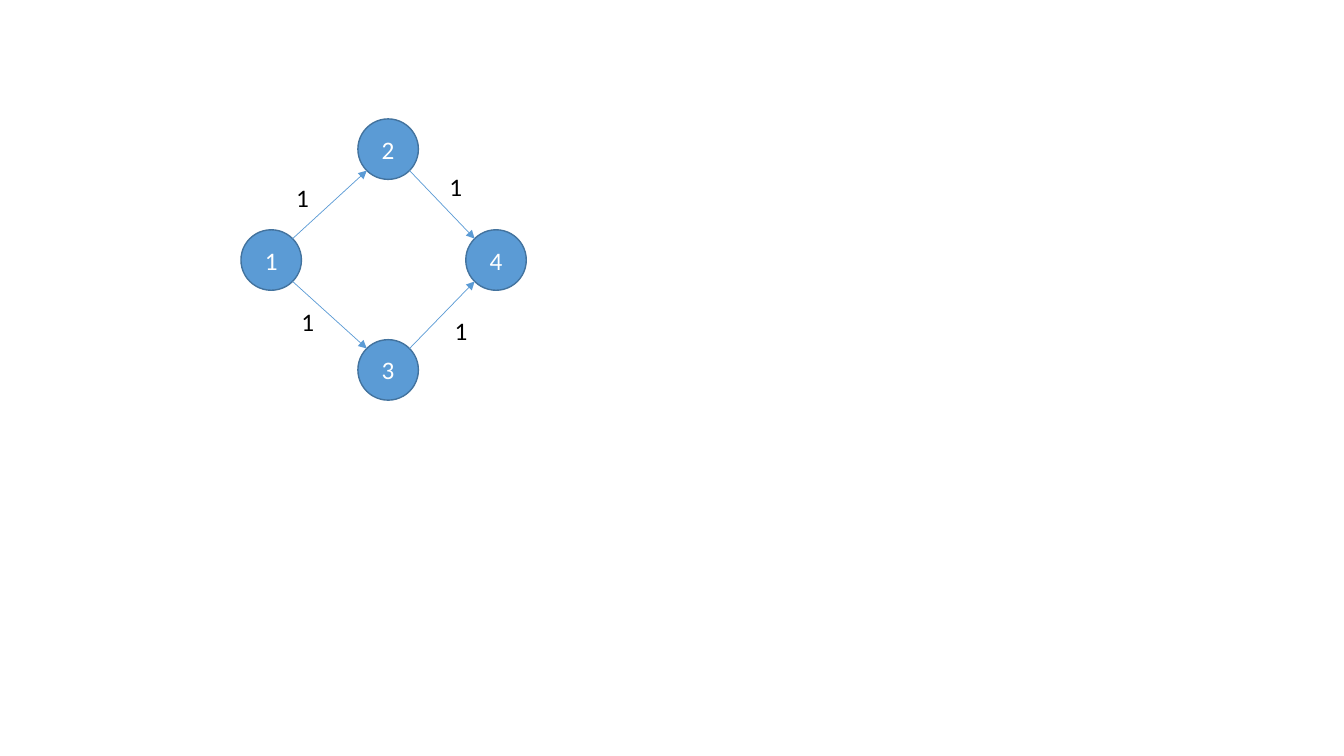
from math import copysign, sqrt

from lxml import etree
from pptx import Presentation
from pptx.dml.color import RGBColor
from pptx.enum import shapes, text
from pptx.oxml.ns import qn
from pptx.util import Inches, Pt

COLOURS = {"node": "5B9BD5", "rim": "43739E", "edge": "5B9BD5",
           "number": "FFFFFF", "weight": "000000"}
FONT = {"name": "Calibri", "size": Pt(18)}
DIAMETER = 0.6
DIAGONAL = DIAMETER / 2 / sqrt(2)  # centre to rim at 45 degrees

# Node positions, relative to the graph box
NODES = {"1": (0, 1.1), "2": (1.16, 0), "4": (2.23, 1.1), "3": (1.16, 2.19)}
# Start node, end node, weight, weight position relative to the graph box
EDGES = [("1", "2", "1", (0.45, 0.58)), ("1", "3", "1", (0.5, 1.81)),
         ("3", "4", "1", (2.02, 1.9)), ("2", "4", "1", (1.97, 0.47))]


def colour(part):
    return RGBColor.from_string(COLOURS[part])


def write(frame, wording, part, align):
    paragraph = frame.paragraphs[0]
    paragraph.alignment = align
    run = paragraph.add_run()
    run.text = wording
    for key, value in FONT.items():
        setattr(run.font, key, value)
    run.font.color.rgb = colour(part)


def add_node(graph, number, left, top):
    node = graph.shapes.add_shape(
        shapes.MSO_SHAPE.OVAL, Inches(left), Inches(top), Inches(DIAMETER), Inches(DIAMETER))
    node.shadow.inherit = False
    node.fill.solid()
    node.fill.fore_color.rgb = colour("node")
    node.line.color.rgb = colour("rim")
    node.line.width = Pt(1)
    node.text_frame.vertical_anchor = text.MSO_ANCHOR.MIDDLE
    write(node.text_frame, number, "number", text.PP_ALIGN.CENTER)


def add_edge(graph, start, end):
    # Leave and reach each circle on the diagonal facing the other
    dx, dy = (copysign(DIAGONAL, b - a) for a, b in zip(start, end))
    radius = DIAMETER / 2
    ends = (start[0] + radius + dx, start[1] + radius + dy,
            end[0] + radius - dx, end[1] + radius - dy)
    edge = graph.shapes.add_connector(
        shapes.MSO_CONNECTOR.STRAIGHT, *(Inches(value) for value in ends))
    edge.line.color.rgb = colour("edge")
    edge.line.width = Pt(0.5)
    etree.SubElement(edge.line._get_or_add_ln(), qn("a:tailEnd"), type="triangle")
    etree.SubElement(edge._element.spPr, qn("a:effectLst"))


def add_weight(graph, wording, left, top):
    weight = graph.shapes.add_textbox(Inches(left), Inches(top), Inches(0.33), Inches(0.4))
    frame = weight.text_frame
    frame.word_wrap = False
    frame.auto_size = text.MSO_AUTO_SIZE.SHAPE_TO_FIT_TEXT
    write(frame, wording, "weight", text.PP_ALIGN.LEFT)


def add_graph(slide, left, top):
    graph = slide.shapes.add_group_shape()
    places = {number: (left + x, top + y) for number, (x, y) in NODES.items()}
    # Numbered nodes
    for number, place in places.items():
        add_node(graph, number, *place)
    # Directed edges
    for start, end, _, _ in EDGES:
        add_edge(graph, places[start], places[end])
    # Edge weights
    for _, _, weight, (x, y) in EDGES:
        add_weight(graph, weight, left + x, top + y)


deck = Presentation()
deck.slide_width, deck.slide_height = Inches(13.33), Inches(7.5)
graph_slide = deck.slides.add_slide(deck.slide_layouts[6])
add_graph(graph_slide, 2.39, 1.18)
deck.save("out.pptx")
